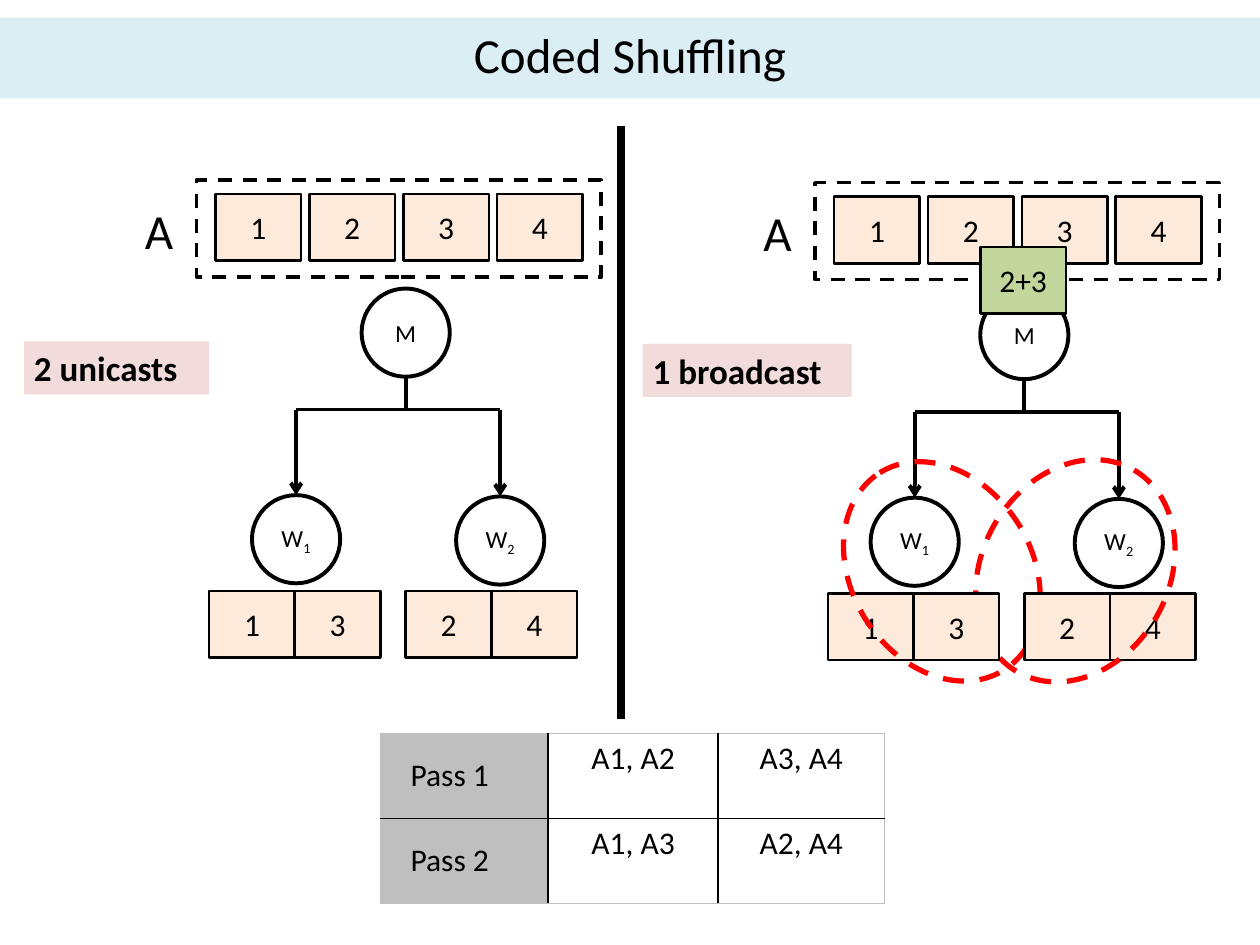
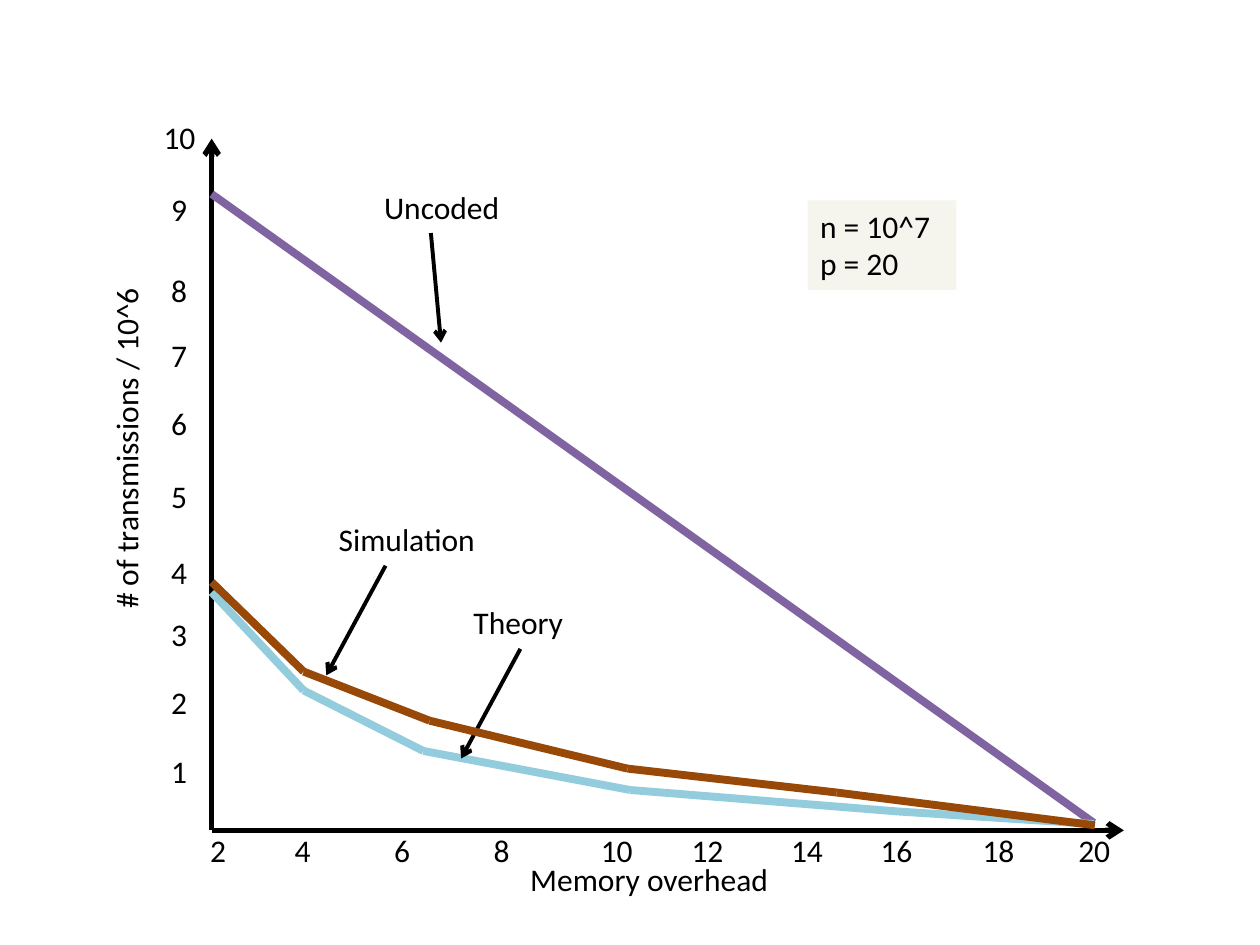
from dataclasses import dataclass
from itertools import pairwise

from lxml import etree
from pptx import Presentation
from pptx import util as u
from pptx.dml.color import RGBColor
from pptx.enum import dml, shapes, text
from pptx.oxml import ns

Inches = u.Inches
Shape = shapes.MSO_SHAPE
Align = text.PP_ALIGN
Anchor = text.MSO_ANCHOR
TITLE_ONLY, BLANK = 5, 6


@dataclass(frozen=True)
class Theme:
    font: str = "Calibri"
    ink: str = "000000"
    paper: str = "FFFFFF"
    band: str = "DBEEF4"
    block: str = "FDEADA"
    coded_block: str = "C3D69B"
    caption: str = "F2DCDB"
    note: str = "F5F4ED"
    grey: str = "BFBFBF"
    highlight: str = "FF0000"
    uncoded: str = "8064A2"
    theory: str = "93CDDD"
    simulation: str = "984807"
    title_size: int = 28
    caption_size: int = 20
    text_size: int = 18
    node_size: int = 14


THEME = Theme()


def rgb(value):
    return RGBColor.from_string(value)


def write_text(frame, content, size=THEME.text_size, bold=False, align=Align.LEFT,
               anchor=Anchor.TOP, wrap=True, insets=(0.1, 0.05), subscript=""):
    """Fill a text frame, one paragraph for each line of content."""
    frame.word_wrap = wrap
    frame.vertical_anchor = anchor
    frame.margin_left = frame.margin_right = Inches(insets[0])
    frame.margin_top = frame.margin_bottom = Inches(insets[1])
    for index, line in enumerate(content.split("\n")):
        paragraph = frame.add_paragraph() if index else frame.paragraphs[0]
        paragraph.alignment = align
        for part in filter(None, (line, subscript)):
            run = paragraph.add_run()
            run.text = part
            run.font.name = THEME.font
            run.font.size = u.Pt(size)
            run.font.bold = bold
            run.font.color.rgb = rgb(THEME.ink)
            if part is subscript:
                run._r.get_or_add_rPr().set("baseline", "-25000")


def set_border(cell, side, color):
    properties = cell._tc.get_or_add_tcPr()
    line = etree.SubElement(properties, ns.qn(f"a:ln{side}"), w=str(u.Pt(1)))
    fill = etree.SubElement(line, ns.qn("a:solidFill"))
    etree.SubElement(fill, ns.qn("a:srgbClr"), val=color)


class Deck:
    def __init__(self, theme):
        self.theme = theme
        self.presentation = Presentation()
        self.presentation.slide_width = Inches(10)
        self.presentation.slide_height = Inches(7.5)
        self.slide = None

    def new_slide(self, title=None):
        layout = self.presentation.slide_layouts[TITLE_ONLY if title else BLANK]
        self.slide = self.presentation.slides.add_slide(layout)
        if title:
            band = self.slide.shapes.title
            band.left, band.top = Inches(0), Inches(0.14)
            band.width, band.height = Inches(10), Inches(0.64)
            band.fill.solid()
            band.fill.fore_color.rgb = rgb(self.theme.band)
            write_text(band.text_frame, title, size=self.theme.title_size,
                       align=Align.CENTER, anchor=Anchor.MIDDLE)
            band.text_frame.paragraphs[0].line_spacing = 0.9

    def label(self, content, left, top, width, height=0.4, fill=None, rotation=0,
              **text_format):
        box = self.slide.shapes.add_textbox(
            Inches(left), Inches(top), Inches(width), Inches(height))
        box.rotation = rotation
        if fill:
            box.fill.solid()
            box.fill.fore_color.rgb = rgb(fill)
        write_text(box.text_frame, content, **text_format)

    def shape(self, kind, left, top, width, height, fill=None, line=THEME.ink,
              weight=1.5, dashed=False, rotation=0, content="", **text_format):
        shape = self.slide.shapes.add_shape(
            kind, Inches(left), Inches(top), Inches(width), Inches(height))
        shape.shadow.inherit = False
        shape.rotation = rotation
        if fill:
            shape.fill.solid()
            shape.fill.fore_color.rgb = rgb(fill)
        else:
            shape.fill.background()
        shape.line.color.rgb = rgb(line)
        shape.line.width = u.Pt(weight)
        if dashed:
            shape.line.dash_style = dml.MSO_LINE.DASH
        if content:
            write_text(shape.text_frame, content, align=Align.CENTER,
                       anchor=Anchor.MIDDLE, insets=(0.08, 0.04), **text_format)

    def block(self, content, left, top, fill=THEME.block):
        self.shape(Shape.RECTANGLE, left, top, 0.68, 0.53, fill=fill, content=content)

    def node(self, content, left, top, subscript=""):
        self.shape(Shape.OVAL, left, top, 0.7, 0.7, fill=self.theme.paper, weight=2.25,
                   content=content, subscript=subscript, size=self.theme.node_size)

    def line(self, start, end, color=THEME.ink, weight=2.25, arrow=False):
        connector = self.slide.shapes.add_connector(
            shapes.MSO_CONNECTOR.STRAIGHT, *map(Inches, (*start, *end)))
        connector.line.color.rgb = rgb(color)
        connector.line.width = u.Pt(weight)
        properties = connector._element.spPr
        if arrow:
            outline = properties.find(ns.qn("a:ln"))
            etree.SubElement(outline, ns.qn("a:tailEnd"), type="arrow")
        etree.SubElement(properties, ns.qn("a:effectLst"))

    def curve(self, points, color):
        for start, end in pairwise(points):
            self.line(start, end, color=color, weight=4.5)

    def table(self, rows, left, top, widths, row_height):
        """Add a grid with a grey first column, black inner rules and a grey frame."""
        table = self.slide.shapes.add_table(
            len(rows), len(widths), Inches(left), Inches(top),
            Inches(sum(widths)), Inches(row_height * len(rows))).table
        table.first_row = table.horz_banding = False
        for column, width in zip(table.columns, widths):
            column.width = Inches(width)
        for row_index, row in enumerate(rows):
            table.rows[row_index].height = Inches(row_height)
            for column_index, content in enumerate(row):
                cell = table.cell(row_index, column_index)
                is_head = column_index == 0
                if content:
                    write_text(cell.text_frame, content, align=Align.CENTER)
                outer_sides = {"L": is_head, "R": column_index == len(widths) - 1,
                               "T": row_index == 0, "B": row_index == len(rows) - 1}
                for side, is_outer in outer_sides.items():
                    set_border(cell, side, self.theme.grey if is_outer else self.theme.ink)
                cell.fill.solid()
                cell.fill.fore_color.rgb = rgb(self.theme.grey if is_head else self.theme.paper)


def draw_network(deck, left, top, caption, caption_width, coded=False):
    """Draw a master with its data and two workers, from the caption's left edge."""
    theme = deck.theme
    deck.shape(Shape.RECTANGLE, left + 1.37, top + 1.43, 3.21, 0.77, weight=2, dashed=True)
    deck.label("A", left + 0.88, top + 1.55, 0.24, 0.56, size=theme.title_size,
               insets=(0.08, 0.04))
    for index in range(4):
        deck.block(str(index + 1), left + 1.52 + index * 0.745, top + 1.54)

    master_x, fork_y = left + 3.03, top + 3.25
    worker_xs = (left + 2.16, left + 3.78)
    worker_tops = (top + 3.93, top + 3.94)
    deck.line((master_x, top + 3), (master_x, fork_y))
    deck.line((worker_xs[0], fork_y), (worker_xs[1], fork_y))
    deck.node("M", master_x - 0.35, top + 2.29)
    for number, (x, worker_top) in enumerate(zip(worker_xs, worker_tops), 1):
        deck.line((x, fork_y), (x, worker_top), arrow=True)
        deck.node("W", x - 0.35, worker_top, subscript=str(number))
    deck.label(caption, left, top + 2.71, caption_width, 0.42, fill=theme.caption,
               size=theme.caption_size, bold=True, insets=(0.08, 0.04))

    store_top = top + 4.69
    deck.block("1", left + 1.47, store_top)
    deck.block("4", left + 3.71, store_top)
    if coded:
        deck.block("2+3", master_x - 0.35, top + 1.94, fill=theme.coded_block)
        for x, y, height, rotation in ((1.45, 3.8, 1.43, 57.8), (2.51, 3.77, 1.48, 120.2)):
            deck.shape(Shape.OVAL, left + x, top + y, 1.85, height, line=theme.highlight,
                       weight=3, dashed=True, rotation=rotation)
    deck.block("3", left + 2.15, store_top)
    deck.block("2", left + 3.03, store_top)


def build_shuffling_slide(deck):
    deck.new_slide("Coded Shuffling")
    draw_network(deck, 0.19, 0, "2 unicasts", 1.47)
    draw_network(deck, 5.1, 0.02, "1 broadcast", 1.66, coded=True)
    deck.line((4.93, 1), (4.93, 5.71), weight=4.5)
    deck.table([("", "A1, A2", "A3, A4"), ("", "A1, A3", "A2, A4")],
               3.02, 5.82, (1.33, 1.35, 1.32), 0.675)
    for index, name in enumerate(("Pass 1", "Pass 2")):
        deck.label(name, 3.15, 5.94 + index * 0.68, 0.84, align=Align.CENTER, wrap=False)


def build_results_slide(deck):
    theme = deck.theme
    deck.new_slide()

    tick_lefts = (1.57, 2.24, 3.03, 3.82, 4.67, 5.39, 6.18, 6.89, 7.7, 8.46)
    for index, left in enumerate(tick_lefts):
        value = 2 * (index + 1)
        deck.label(str(value), left, 6.55, 0.33 if value < 10 else 0.46, wrap=False)
    tick_tops = (5.92, 5.37, 4.83, 4.34, 3.74, 3.16, 2.62, 2.1, 1.46)
    for value, top in enumerate(tick_tops, 1):
        deck.label(str(value), 1.26, top, 0.33, wrap=False)
    deck.label("10", 1.2, 0.89, 0.46, wrap=False)
    deck.label("Memory overhead", 4.11, 6.78, 2.28)
    deck.label("# of transmissions / 10^6", -0.38, 3.35, 2.76, rotation=270)
    deck.label("n = 10^7\np = 20", 6.41, 1.59, 1.18, 0.71, fill=theme.note, wrap=False)

    origin = (1.68, 6.59)
    for axis_end in ((8.92, 6.59), (1.68, 1.1)):
        deck.line(origin, axis_end, weight=3, arrow=True)

    # name, colour, label position, horizontal run of its arrow, points
    curves = (
        ("Uncoded", theme.uncoded, (2.95, 1.44), 0.08, ((1.68, 1.54), (8.68, 6.53))),
        ("Theory", theme.theory, (3.66, 4.74), -0.47,
         ((1.68, 4.7), (2.41, 5.48), (3.36, 5.96), (5, 6.27), (7.12, 6.44), (8.68, 6.54))),
        ("Simulation", theme.simulation, (2.59, 4.08), -0.47,
         ((1.68, 4.62), (2.41, 5.33), (3.41, 5.72), (4.98, 6.1), (6.64, 6.29), (8.69, 6.55))),
    )
    for name, color, (left, top), arrow_run, points in curves:
        deck.curve(points, color)
        deck.label(name, left, top, 3.23)
        arrow_x, arrow_y = left + 0.47, top + 0.41
        deck.line((arrow_x, arrow_y), (arrow_x + arrow_run, arrow_y + 0.87), arrow=True)


def main():
    deck = Deck(THEME)
    build_shuffling_slide(deck)
    build_results_slide(deck)
    deck.presentation.save("out.pptx")


if __name__ == "__main__":
    main()
